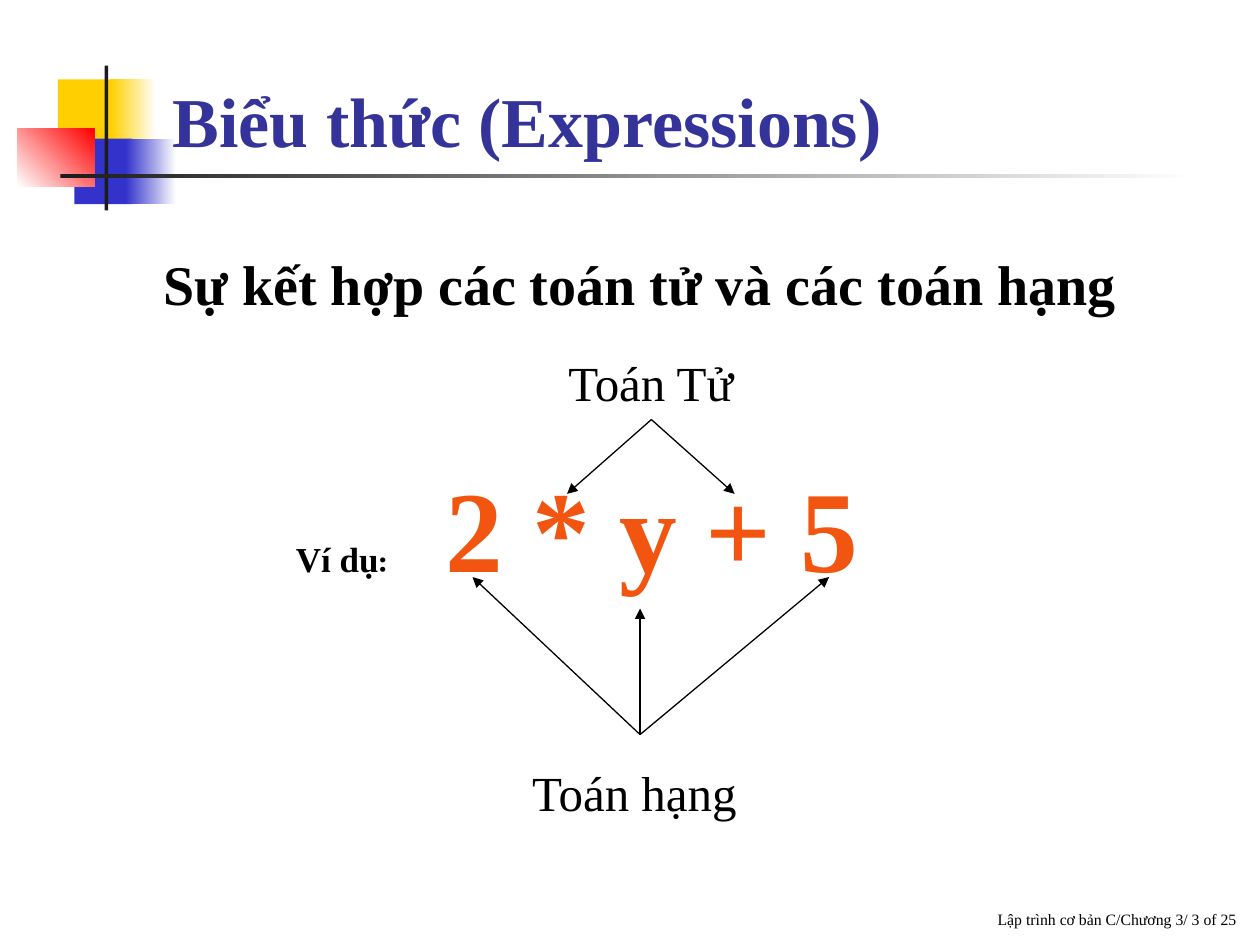
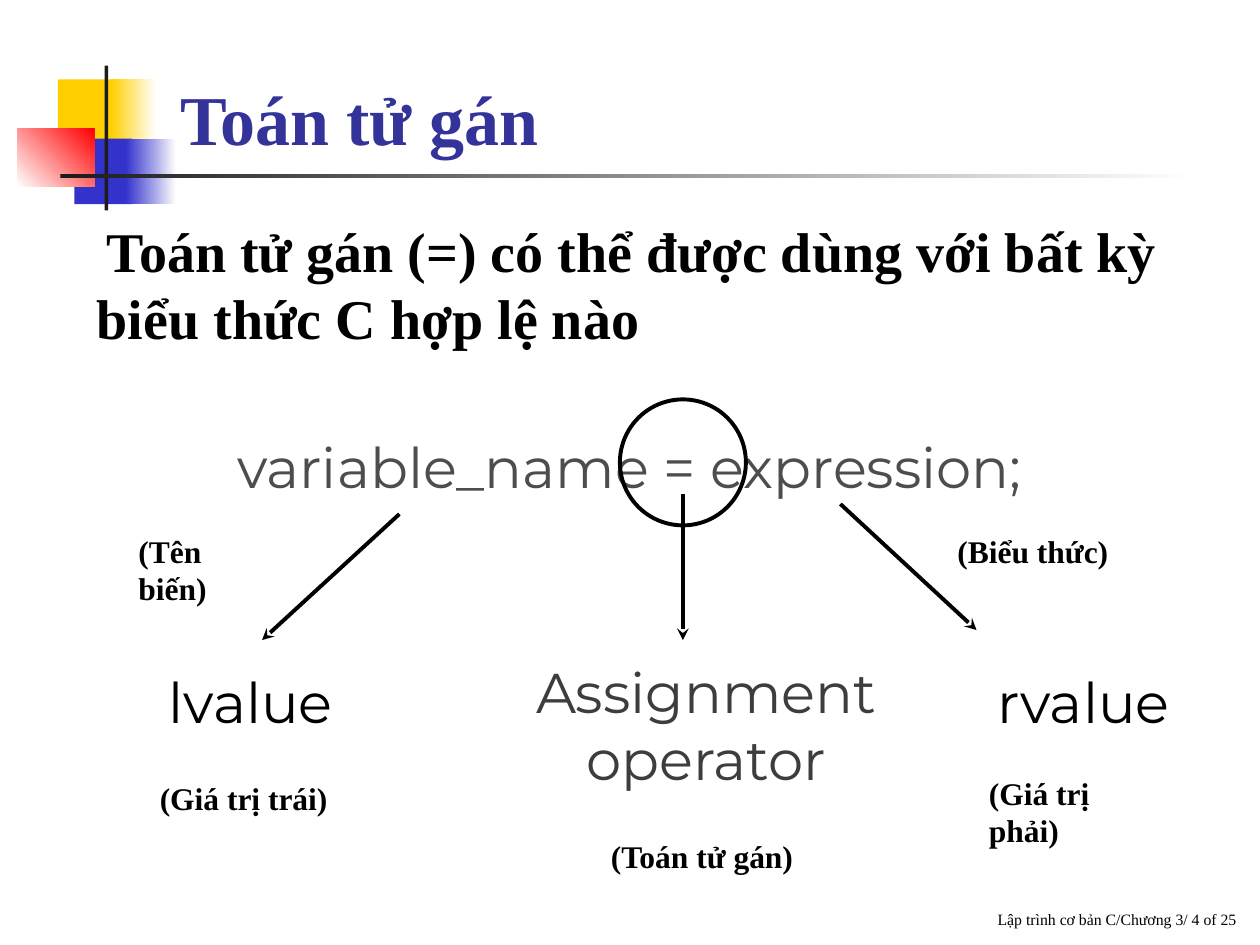
from lxml.etree import SubElement
from pptx import Presentation
from pptx.dml.color import RGBColor
from pptx.enum.shapes import MSO_CONNECTOR as Line, MSO_SHAPE as Preset
from pptx.enum.text import MSO_ANCHOR as Anchor, MSO_AUTO_SIZE as Fit, PP_ALIGN as Align
from pptx.oxml.ns import qn
from pptx.util import Inches, Pt

COLORS = {
    "black": "000000", "white": "FFFFFF", "ink": "1C1C1C",
    "yellow": "FFCF01", "blue": "3333CC", "red": "FF0000",
    "title": "333399", "orange": "F1550F",
    "code": "4D4D4D", "operator": "3D3D3D",
}
SERIF, SANS, COLON_FONT = "Times New Roman", "Montserrat", "Karla"
TITLE_ONLY = 5


def color(name):
    """Return the RGB value of a named colour."""
    return RGBColor.from_string(COLORS[name])


def write(para, text, size=18, font=SERIF, fill="black", bold=False):
    """Add one formatted span of text to a paragraph."""
    span = para.add_run()
    span.text = text
    span.font.size = Pt(size)
    span.font.name = font
    span.font.bold = bold
    span.font.color.rgb = color(fill)


class Lecture:
    """Holds the deck style and the current slide."""

    def __init__(self):
        """Start an empty deck."""
        self.deck = Presentation()
        self.deck.slide_width, self.deck.slide_height = Inches(10), Inches(7.5)
        self.page = None

    def start(self, title, number, at):
        """Add a slide with the shared decoration, its title and footer."""
        self.page = self.deck.slides.add_slide(self.deck.slide_layouts[TITLE_ONLY])
        self.decorate()
        self.text(f"Lập trình cơ bản C/Chương 3/ {number} of 25",
                  (3.83, 6.92, 6.08, 0.5), align=Align.RIGHT, anchor=Anchor.BOTTOM, size=9)
        box = self.page.shapes.title
        self.page.shapes._spTree.append(box._element)
        box.left, box.top, box.width, box.height = map(Inches, at)
        frame = box.text_frame
        frame.auto_size = Fit.NONE
        frame.vertical_anchor = Anchor.BOTTOM
        frame.paragraphs[0].alignment = Align.LEFT
        write(frame.paragraphs[0], title, size=40, fill="title", bold=True)

    def decorate(self):
        """Draw the coloured blocks and the crossing bars."""
        self.block((0.46, 0.63, 0.48, 0.52), "yellow")
        self.block((0.88, 0.63, 0.36, 0.52), "yellow", "white")
        self.block((0.59, 1.1, 0.46, 0.52), "blue")
        self.block((1, 1.1, 0.4, 0.52), "blue", "white")
        self.block((0.14, 1.02, 0.61, 0.46), "white", "red", angle=45)
        self.block((0.83, 0.52, 0.03, 1.15), "ink")
        self.block((0.48, 1.38, 9, 0.03), "ink", "white")

    def block(self, at, start, end=None, angle=0):
        """Draw a rectangle with a solid or a fading fill."""
        box = self.page.shapes.add_shape(Preset.RECTANGLE, *map(Inches, at))
        box.shadow.inherit = False
        box.line.fill.background()
        if end is None:
            box.fill.solid()
            box.fill.fore_color.rgb = color(start)
            return
        box.fill.gradient()
        box.fill.gradient_angle = angle
        for stop, name in zip(box.fill.gradient_stops, (start, end)):
            stop.color.rgb = color(name)

    def ring(self, at, width=2.25):
        """Draw an unfilled ellipse."""
        box = self.page.shapes.add_shape(Preset.OVAL, *map(Inches, at))
        box.shadow.inherit = False
        box.fill.background()
        box.line.color.rgb = color("black")
        box.line.width = Pt(width)

    def arrow(self, start, end, width=0.75, head="triangle"):
        """Draw a straight arrow from start to end."""
        line = self.page.shapes.add_connector(Line.STRAIGHT, *map(Inches, start + end))
        line.line.color.rgb = color("black")
        line.line.width = Pt(width)
        SubElement(line.line._get_or_add_ln(), qn("a:tailEnd"), type=head)
        SubElement(line._element.spPr, qn("a:effectLst"))

    def frame(self, at, wrap=True, anchor=Anchor.TOP):
        """Add an empty text box and return its text frame."""
        frame = self.page.shapes.add_textbox(*map(Inches, at)).text_frame
        frame.word_wrap = wrap
        frame.vertical_anchor = anchor
        return frame

    def text(self, text, at, align=Align.LEFT, wrap=True, anchor=Anchor.TOP,
             indent=0, **style):
        """Add a text box with one paragraph for each line of text."""
        frame = self.frame(at, wrap, anchor)
        for index, line in enumerate(text.split("\n")):
            para = frame.add_paragraph() if index else frame.paragraphs[0]
            para.alignment = align
            if indent:
                para._p.get_or_add_pPr().set("indent", str(Inches(indent)))
            write(para, line, **style)

    def example(self, at, tab):
        """Add the labelled sample expression, aligned by a tab stop."""
        para = self.frame(at).paragraphs[0]
        tabs = SubElement(para._p.get_or_add_pPr(), qn("a:tabLst"))
        SubElement(tabs, qn("a:tab"), pos=str(Inches(tab)), algn="l")
        write(para, "Ví dụ", size=20, bold=True)
        write(para, ":", font=COLON_FONT, bold=True)
        write(para, "\t2 * y + 5", size=66, fill="orange", bold=True)


def expressions(lecture):
    """Build the slide about operators and operands."""
    lecture.start("Biểu thức (Expressions)", 3, (1.27, 0.43, 7.56, 0.9))
    lecture.text("Sự kết hợp các toán tử và các toán hạng",
                 (1.2, 1.93, 8.55, 0.64), size=32, bold=True)
    for end in ((3.75, 4.58), (6.58, 4.58), (5.08, 4.83)):
        lecture.arrow((5.08, 5.83), end)
    for end in ((4.5, 3.92), (5.83, 3.92)):
        lecture.arrow((5.17, 3.33), end)
    lecture.text("Toán hạng", (3.87, 6, 2.33, 0.57), align=Align.CENTER, size=28)
    lecture.text("Toán Tử", (4.25, 2.75, 1.83, 0.57), align=Align.CENTER, size=28)
    lecture.example((2.25, 3.58, 5.75, 1.2), tab=1.19)


def assignment(lecture):
    """Build the slide about the assignment operator."""
    lecture.start("Toán tử gán", 4, (1.33, 0.42, 7.75, 0.9))
    lecture.text("Toán tử gán (=) có thể được dùng với bất kỳ biểu thức C hợp lệ nào",
                 (0.67, 1.67, 8.75, 1.17), indent=0.08, size=32, bold=True)
    terms = (
        ("variable_name = expression;", (1.12, 3.38, 7.76, 0.71), "code"),
        ("lvalue", (1.17, 5.25, 1.64, 0.71), "black"),
        ("rvalue", (7.78, 5.25, 1.64, 0.71), "black"),
        ("Assignment\noperator", (4, 5.17, 3.21, 1.42), "operator"),
    )
    for term, at, fill in terms:
        lecture.text(term, at, align=Align.CENTER, wrap=False, size=32, font=SANS, fill=fill)
    lecture.ring((4.92, 3.17, 1, 1))
    for start, end in (((3.17, 4.08), (2.08, 5.08)),
                       ((6.67, 4), (7.75, 5)),
                       ((5.42, 3.92), (5.42, 5.08))):
        lecture.arrow(start, end, width=2.25, head="stealth")
    translations = (
        ("(Giá trị trái)", 1.17, 6.13, 1.53),
        ("(Giá trị phải)", 7.75, 6.09, 1.61),
        ("(Toán tử gán)", 4.75, 6.59, 1.67),
        ("(Tên biến)", 1, 4.17, 1.3),
        ("(Biểu thức)", 7.5, 4.17, 1.4),
    )
    for label, left, top, width in translations:
        lecture.text(label, (left, top, width, 0.4), wrap=False, bold=True)


def main():
    """Build both slides and save the deck."""
    lecture = Lecture()
    expressions(lecture)
    assignment(lecture)
    lecture.deck.save("out.pptx")


if __name__ == "__main__":
    main()
